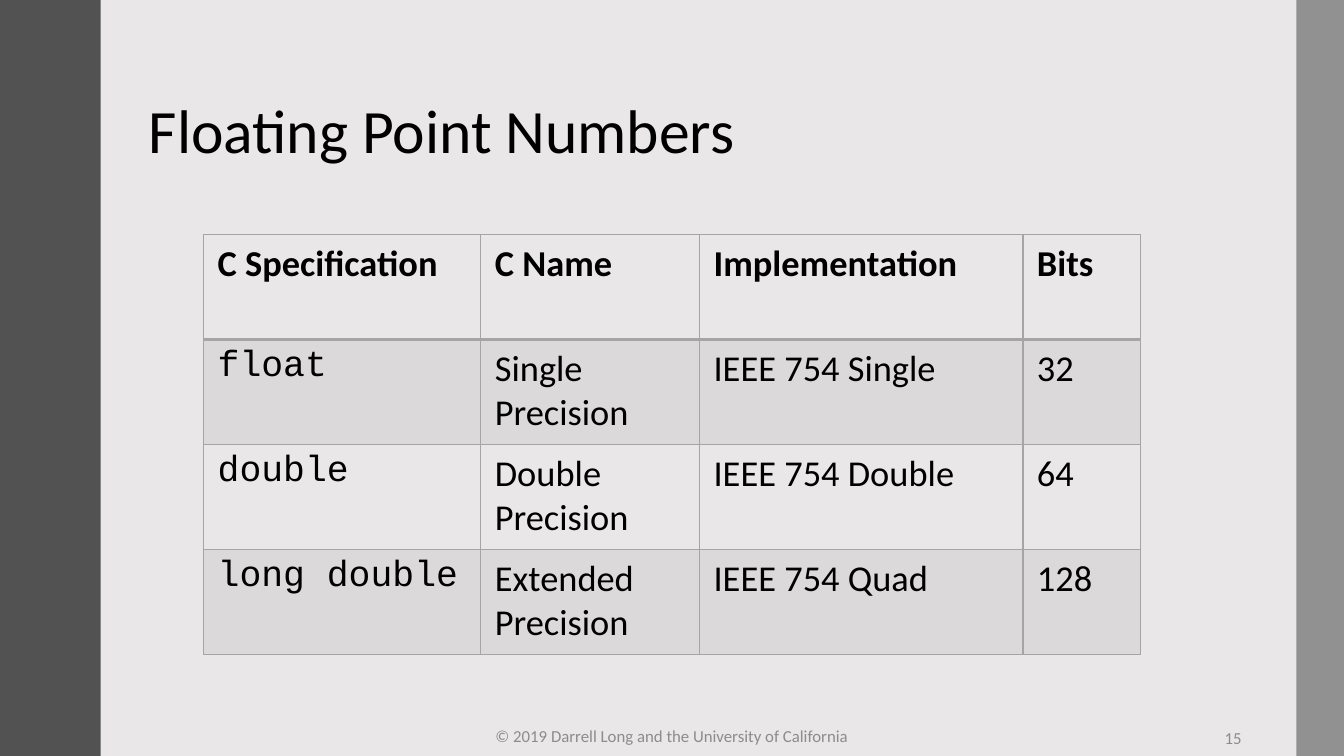
from dataclasses import dataclass

from lxml import etree
from pptx import Presentation
from pptx.dml.color import RGBColor
from pptx.enum import shapes, text
from pptx.oxml.ns import qn
from pptx.util import Pt


@dataclass(frozen=True)
class Theme:
    background: str = "E9E7E7"
    left_band: str = "525252"
    right_band: str = "595959"
    ink: str = "000000"
    muted: str = "8C8C8C"
    rule: str = "A5A5A5"
    body_font: str = "Calibri"
    code_font: str = "Courier New"
    title_size: int = 44
    table_size: int = 26
    footer_size: int = 12


THEME = Theme()
SLIDE_WIDTH, SLIDE_HEIGHT = 960, 540
COLUMN_SHARES = (198, 156.25, 231, 83.75)
HEADER = ("C Specification", "C Name", "Implementation", "Bits")
FLOAT_TYPES = (
    ("float", "Single Precision", "IEEE 754 Single", "32"),
    ("double", "Double Precision", "IEEE 754 Double", "64"),
    ("long double", "Extended Precision", "IEEE 754 Quad", "128"),
)


def paint(fill, color, opacity=100):
    fill.solid()
    fill.fore_color.rgb = RGBColor.from_string(color)
    if opacity < 100:
        solid = fill._xPr.find(qn("a:solidFill"))
        etree.SubElement(solid[0], qn("a:alpha"), val=str(opacity * 1000))


def style(paragraph, size, color, font=THEME.body_font, bold=False):
    paragraph.font.name = font
    paragraph.font.size = Pt(size)
    paragraph.font.bold = bold
    paragraph.font.color.rgb = RGBColor.from_string(color)


def add_band(slide, box, color, opacity=100):
    band = slide.shapes.add_shape(shapes.MSO_SHAPE.RECTANGLE, *map(Pt, box))
    band.shadow.inherit = False
    paint(band.fill, color, opacity)
    band.line.fill.background()


def add_line_of_text(slide, box, words, size, color, align, spacing=1.0):
    frame = slide.shapes.add_textbox(*map(Pt, box)).text_frame
    frame.word_wrap = True
    frame.vertical_anchor = text.MSO_ANCHOR.MIDDLE
    paragraph = frame.paragraphs[0]
    paragraph.text = words
    paragraph.alignment = align
    paragraph.line_spacing = spacing
    style(paragraph, size, color)


def set_borders(cell, widths):
    properties = cell._tc.get_or_add_tcPr()
    for position, (side, width) in enumerate(widths.items()):
        border = etree.Element(qn(f"a:{side}"), w=str(Pt(width)))
        solid = etree.SubElement(border, qn("a:solidFill"))
        etree.SubElement(solid, qn("a:srgbClr"), val=THEME.rule)
        properties.insert(position, border)


def add_types_table(slide, box):
    left, top, width, height = box
    rows = (HEADER, *FLOAT_TYPES)
    table = slide.shapes.add_table(
        len(rows), len(HEADER), Pt(left), Pt(top), Pt(width), Pt(height)
    ).table
    table.first_row = table.horz_banding = False
    for column, share in zip(table.columns, COLUMN_SHARES):
        column.width = Pt(width * share / sum(COLUMN_SHARES))
    for r, entries in enumerate(rows):
        table.rows[r].height = Pt(height / len(rows))
        for c, entry in enumerate(entries):
            cell = table.cell(r, c)
            cell.margin_left = cell.margin_right = Pt(10)
            cell.margin_top = cell.margin_bottom = Pt(5)
            cell.text = entry
            is_code = r > 0 and c == 0
            font = THEME.code_font if is_code else THEME.body_font
            style(cell.text_frame.paragraphs[0], THEME.table_size, THEME.ink, font, r == 0)
            if r % 2:
                paint(cell.fill, THEME.rule, 20)
            else:
                cell.fill.background()
            set_borders(cell, {
                "lnL": 1,
                "lnR": 1,
                "lnT": 2 if r == 1 else 1,
                "lnB": 2 if r == 0 else 1,
            })


def add_footer(slide, box):
    left, top, width, height = box
    add_line_of_text(
        slide, (left, top, 324, height),
        "© 2019 Darrell Long and the University of California",
        THEME.footer_size, THEME.muted, text.PP_ALIGN.CENTER,
    )
    number_width = 216
    add_line_of_text(
        slide, (left + width - number_width, top + 1.5, number_width, height),
        "15", THEME.footer_size, THEME.muted, text.PP_ALIGN.RIGHT,
    )


def build_table_slide(presentation):
    slide = presentation.slides.add_slide(presentation.slide_layouts[6])
    paint(slide.background.fill, THEME.background)
    add_line_of_text(
        slide, (99.25, 43.25, 776, 104.4), "Floating Point Numbers",
        THEME.title_size, THEME.ink, text.PP_ALIGN.LEFT, 0.9,
    )
    add_band(slide, (0, 0, 72, SLIDE_HEIGHT), THEME.left_band)
    add_band(slide, (926, 0, SLIDE_WIDTH - 926, SLIDE_HEIGHT), THEME.right_band, 60)
    add_types_table(slide, (145.5, 167.5, 669, 300))
    add_footer(slide, (318, 511, 576, 29))


def main():
    presentation = Presentation()
    presentation.slide_width = Pt(SLIDE_WIDTH)
    presentation.slide_height = Pt(SLIDE_HEIGHT)
    build_table_slide(presentation)
    presentation.save("out.pptx")


if __name__ == "__main__":
    main()
